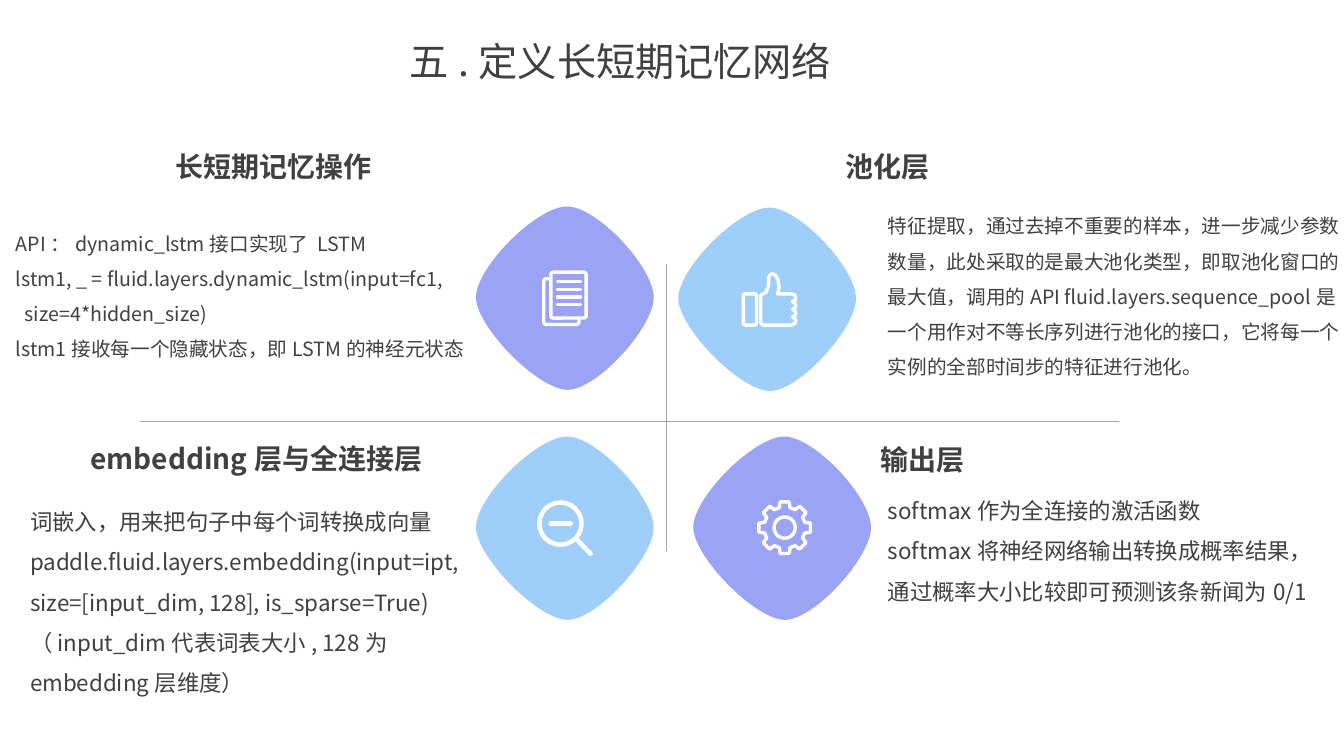
import math
from dataclasses import dataclass

import lxml.etree
import pptx
import pptx.dml.color
import pptx.enum.shapes
import pptx.enum.text
import pptx.oxml.ns
import pptx.util

Pt = pptx.util.Pt
Shapes = pptx.enum.shapes.MSO_SHAPE
Align = pptx.enum.text.PP_ALIGN


@dataclass(frozen=True)
class Theme:
    font: str = "Noto Sans CJK SC"
    ink: str = "404040"
    rule: str = "A6A6A6"
    icon: str = "FFFFFF"
    violet: str = "9BA4F4"
    sky: str = "9FCEFA"
    title: int = 28
    heading: int = 20
    body: int = 16
    small: int = 14
    hairline: float = 0.5
    stroke: float = 2.4
    thick: float = 3.2


def color(value):
    return pptx.dml.color.RGBColor.from_string(value)


def qualified(tag):
    return pptx.oxml.ns.qn(tag)


class SlidePainter:
    def __init__(self, page, theme):
        self.page = page
        self.theme = theme

    def text(self, left, top, width, height, lines, size, bold=False, align=Align.LEFT, spacing=1.0):
        box = self.page.shapes.add_textbox(Pt(left), Pt(top), Pt(width), Pt(height))
        frame = box.text_frame
        frame.word_wrap = True
        frame.auto_size = pptx.enum.text.MSO_AUTO_SIZE.SHAPE_TO_FIT_TEXT
        frame.text = "\n".join(lines)
        for para in frame.paragraphs:
            para.alignment = align
            para.line_spacing = spacing
            for span in para.runs:
                span.font.name = self.theme.font
                span.font.size = Pt(size)
                span.font.bold = bold
                span.font.color.rgb = color(self.theme.ink)
                east = lxml.etree.SubElement(span.font._element, qualified("a:ea"))
                east.set("typeface", self.theme.font)

    def heading(self, left, top, width, words, align=Align.LEFT):
        self.text(left, top, width, 31.5, [words], self.theme.heading, True, align)

    def body(self, left, top, width, height, lines, size):
        self.text(left, top, width, height, lines, size, spacing=1.5)

    def outline(self, shape, width):
        shape.shadow.inherit = False
        shape.fill.background()
        shape.line.color.rgb = color(self.theme.icon)
        shape.line.width = Pt(width)
        self.round_ends(shape)

    def round_ends(self, shape):
        line = shape.line._get_or_add_ln()
        line.set("cap", "rnd")
        lxml.etree.SubElement(line, qualified("a:round"))

    def freeform(self, center, points, closed=True):
        spots = [(Pt(center[0] + x), Pt(center[1] + y)) for x, y in points]
        builder = self.page.shapes.build_freeform(*spots[0])
        builder.add_line_segments(spots[1:], close=closed)
        return builder.convert_to_shape()

    def stroke_path(self, center, points, closed=True):
        self.outline(self.freeform(center, points, closed), self.theme.stroke)

    def stroke_shape(self, kind, center, left, top, width, height, stroke, rounding=None):
        shape = self.page.shapes.add_shape(
            kind, Pt(center[0] + left), Pt(center[1] + top), Pt(width), Pt(height))
        if rounding is not None:
            shape.adjustments[0] = rounding
        self.outline(shape, stroke)

    def line(self, start, end, value, width, origin=(0, 0), rounded=False):
        x, y = origin
        connector = self.page.shapes.add_connector(
            pptx.enum.shapes.MSO_CONNECTOR.STRAIGHT,
            Pt(x + start[0]), Pt(y + start[1]), Pt(x + end[0]), Pt(y + end[1]))
        connector.line.color.rgb = color(value)
        connector.line.width = Pt(width)
        if rounded:
            self.round_ends(connector)
        lxml.etree.SubElement(connector._element.spPr, qualified("a:effectLst"))

    def icon_line(self, center, start, end, width):
        self.line(start, end, self.theme.icon, width, center, True)

    def diamond(self, left, top, value):
        controls = [(0, 65), (0, 43.2), (43.6, 0), (65, 0), (86.4, 0), (127, 43.2), (127, 65),
                    (127, 86.4), (86.4, 131), (65.5, 131), (44.6, 131), (0.5, 86.4), (0, 65)]
        steps = 24
        points = []
        for first in range(0, 12, 3):
            for step in range(steps):
                t = step / steps
                weights = [math.comb(3, k) * t ** k * (1 - t) ** (3 - k) for k in range(4)]
                curve = controls[first:first + 4]
                points.append(tuple(sum(w * spot[axis] for w, spot in zip(weights, curve))
                                    for axis in range(2)))
        shape = self.freeform((left, top), points)
        shape.shadow.inherit = False
        shape.fill.solid()
        shape.fill.fore_color.rgb = color(value)
        shape.line.fill.background()

    def document_icon(self, center):
        self.stroke_path(center, [(-11.2, -14), (-14, -14), (-15.2, -12.8), (-15.2, 17.5), (-14, 18.7),
                                  (8.8, 18.7), (10, 17.5), (10, 15.1)], closed=False)
        self.stroke_shape(Shapes.ROUNDED_RECTANGLE, center, -10.1, -18.7, 25.2, 32.8,
                          self.theme.stroke, 0.07)
        for row in range(4):
            y = -11.9 + 5.5 * row
            self.icon_line(center, (-5.4, y), (11.1, y), self.theme.stroke)

    def magnifier_icon(self, center):
        self.stroke_shape(Shapes.OVAL, center, -18.4, -18, 30.2, 30.2, self.theme.thick)
        self.icon_line(center, (8.6, 8.7), (18.3, 18.7), self.theme.thick)
        self.icon_line(center, (-10.1, -2.9), (4, -2.9), self.theme.thick)

    def thumb_icon(self, center):
        self.stroke_shape(Shapes.ROUNDED_RECTANGLE, center, -18.7, -3.9, 9.4, 22.3,
                          self.theme.stroke, 0.15)
        thumb = [(-6.4, -2.5), (-4.7, -3.9), (-2.5, -5), (-0.7, -10), (-0.7, -15.4), (0.4, -17.6),
                 (2.2, -18.3), (4.3, -17.2), (6.1, -13.6), (6.9, -8.6), (5.8, -3.9), (16.2, -3.9)]
        fingers = [(x, y + 5.5 * finger) for finger in range(4)
                   for x, y in [(18.2, -2.8), (18.8, -1), (18.2, 0.8), (16.2, 1.5)]]
        palm = [(16.2, 18.4), (-4.7, 18.4), (-6.4, 16.6)]
        self.stroke_path(center, thumb + fingers + palm)

    def gear_icon(self, center):
        teeth = []
        for tooth in range(8):
            for offset, radius in [(-15, 14.8), (-10, 18.7), (10, 18.7), (15, 14.8)]:
                angle = math.radians(45 * tooth + offset)
                teeth.append((radius * math.sin(angle), -radius * math.cos(angle)))
        self.stroke_path(center, teeth)
        self.stroke_shape(Shapes.OVAL, center, -7.6, -7.6, 15.2, 15.2, self.theme.stroke)


def main():
    deck = pptx.Presentation()
    deck.slide_width = Pt(960)
    deck.slide_height = Pt(540)
    theme = Theme()
    painter = SlidePainter(deck.slides.add_slide(deck.slide_layouts[6]), theme)

    painter.text(285.8, 23, 336.2, 41, ["五.定义长短期记忆网络"], theme.title)

    for left, top, value, icon, center in [
        (340, 147.5, theme.violet, painter.document_icon, (403.6, 213.1)),
        (340, 311.8, theme.sky, painter.magnifier_icon, (403.6, 376.9)),
        (484.5, 148.3, theme.sky, painter.thumb_icon, (549.7, 213.8)),
        (495.2, 311.8, theme.violet, painter.gear_icon, (560.5, 376.9)),
    ]:
        painter.diamond(left, top, value)
        icon(center)

    painter.line((476, 393.8), (476, 188.6), theme.rule, theme.hairline)
    painter.line((100, 301), (799.2, 301), theme.rule, theme.hairline)

    painter.heading(118, 103, 198.7, "长短期记忆操作")
    painter.body(4.3, 153.4, 339.8, 134.6, [
        "API：dynamic_lstm接口实现了 LSTM",
        "lstm1, _ = fluid.layers.dynamic_lstm(input=fc1,         size=4*hidden_size)",
        "lstm1接收每一个隐藏状态，即LSTM的神经元状态",
    ], theme.small)

    painter.heading(-20.9, 311.8, 329.8, "embedding层与全连接层", Align.RIGHT)
    painter.body(14.4, 349.9, 344.2, 152.6, [
        "词嵌入，用来把句子中每个词转换成向量",
        "paddle.fluid.layers.embedding(input=ipt, size=[input_dim, 128], is_sparse=True)",
        "（input_dim代表词表大小, 128为embedding层维度）",
    ], theme.body)

    painter.heading(597, 103, 313, "池化层")
    painter.body(627.1, 141.1, 342, 134.6, [
        "特征提取，通过去掉不重要的样本，进一步减少参数数量，此处采取的是最大池化类型，"
        "即取池化窗口的最大值，调用的API fluid.layers.sequence_pool是一个用作对不等长序列"
        "进行池化的接口，它将每一个实例的全部时间步的特征进行池化。",
    ], theme.small)

    painter.heading(622.1, 312.5, 306, "输出层")
    painter.body(627.1, 342, 329.8, 94.3, [
        "softmax作为全连接的激活函数",
        "softmax将神经网络输出转换成概率结果，通过概率大小比较即可预测该条新闻为0/1",
    ], theme.body)

    deck.save("out.pptx")


if __name__ == "__main__":
    main()
